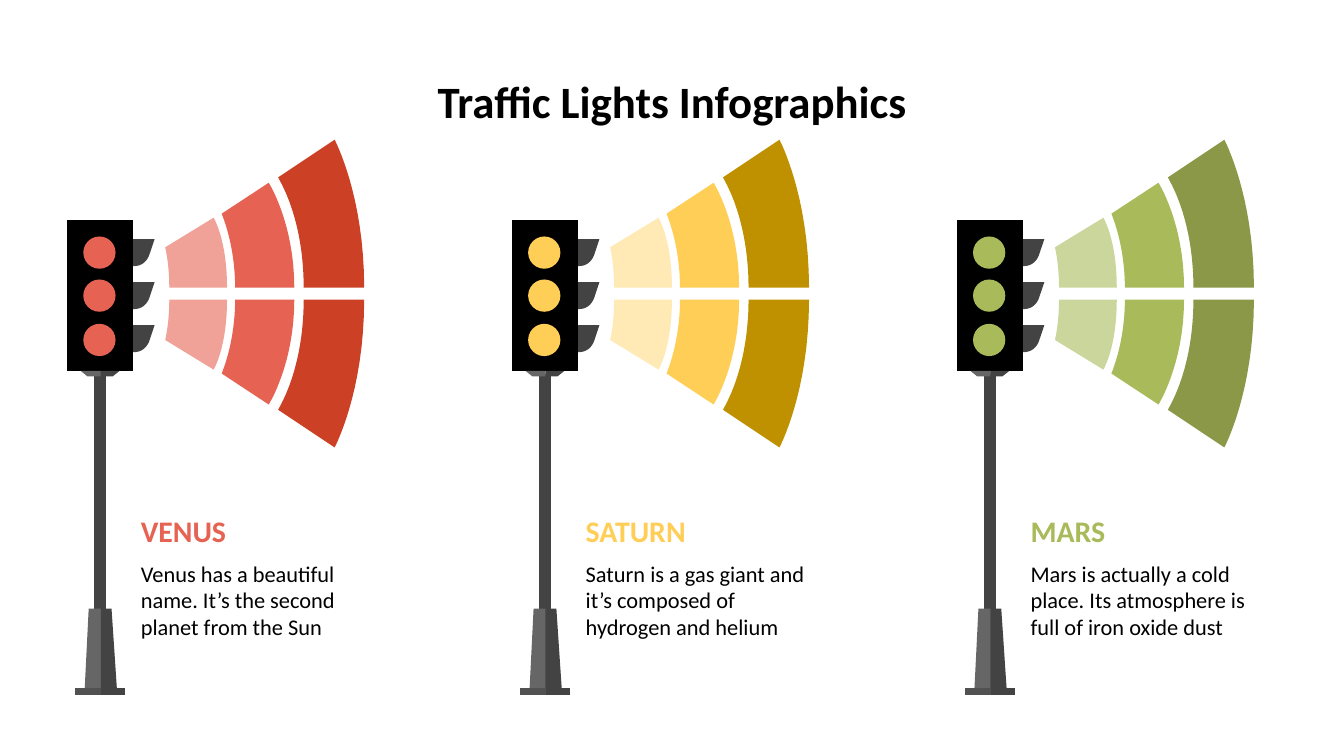
from pptx import Presentation
from pptx.dml.color import RGBColor
from pptx.enum.shapes import MSO_SHAPE
from pptx.enum.text import MSO_ANCHOR, MSO_AUTO_SIZE, PP_ALIGN
from pptx.util import Emu, Pt

OVAL = MSO_SHAPE.OVAL
TOP, MIDDLE = MSO_ANCHOR.TOP, MSO_ANCHOR.MIDDLE
LEFT, CENTER = PP_ALIGN.LEFT, PP_ALIGN.CENTER
NO_AUTOFIT = MSO_AUTO_SIZE.NONE

PX = 9144  # EMU in one px, 100 px to the inch
FONT = "Calibri"
BLACK, DARK, MEDIUM, LIGHT = "000000", "434343", "515151", "666666"

TITLE = "Traffic Lights Infographics"
# name, text, colours of the three waves from the lamp outwards
PLANETS = [
    ("VENUS", "Venus has a beautiful name. It’s the second planet from the Sun",
     ("F0A198", "E66353", "CC4125")),
    ("SATURN", "Saturn is a gas giant and it’s composed of hydrogen and helium",
     ("FFEAB5", "FFCE56", "BF9000")),
    ("MARS", "Mars is actually a cold place. Its atmosphere is full of iron oxide dust",
     ("CBD69C", "A9BA5A", "8A9847")),
]

# Outlines in the first column: a pair is a corner, six numbers are a Bézier curve.
WAVES = [
    [(169, 214), (126, 214), (126, 210, 126, 198, 123, 184),
     (159, 162), (159, 162, 169, 178, 169, 214)],
    [(219, 214), (175, 214), (175, 204, 174, 182, 165, 159),
     (200, 136), (200, 136, 219, 166, 219, 214)],
    [(271, 214), (226, 214), (226, 201, 225, 164, 207, 132),
     (249, 104), (249, 104, 271, 145, 271, 214)],
]
HOOD = [(97, 0), (97, 20), (100, 20), (105, 20, 109, 17, 111, 12), (115, 0)]
HOOD_TOPS = (178, 210, 242)
LAMP_TOPS = (176, 208, 241)
LAMP_LEFT, LAMP_SIZE = 62, 24
CASE = [(50, 164), (50, 276), (99, 276), (99, 164)]
POST = [
    (DARK, [(70, 278), (70, 515), (79, 515), (79, 278)]),
    (LIGHT, [(60, 276), (65, 280), (75, 280), (75, 276)]),
    (LIGHT, [(66, 453), (63, 513), (75, 513), (75, 453)]),
    (DARK, [(75, 276), (75, 280), (84, 280), (89, 276)]),
    (DARK, [(75, 453), (75, 513), (87, 513), (83, 453)]),
    (MEDIUM, [(56, 512), (56, 517), (75, 517), (75, 512)]),
    (DARK, [(75, 512), (75, 517), (93, 517), (93, 512)]),
]
COLUMN_PITCH = 331
MIRROR_SUM = 437  # a height and its mirrored height add up to this
CURVE_STEPS = 16


def px(value):
    return Emu(round(value * PX))


def color(value):
    return RGBColor.from_string(value)


def flatten(outline):
    """Turn corners and Bézier curves into a list of points."""
    points = []
    for part in outline:
        if len(part) == 2:
            points.append(part)
            continue
        controls = [points[-1], part[0:2], part[2:4], part[4:6]]
        for step in range(1, CURVE_STEPS + 1):
            t = step / CURVE_STEPS
            weights = ((1 - t) ** 3, 3 * t * (1 - t) ** 2, 3 * t * t * (1 - t), t ** 3)
            points.append(tuple(
                sum(weight * point[axis] for weight, point in zip(weights, controls))
                for axis in (0, 1)))
    return points


def paint(shape, fill):
    shape.shadow.inherit = False
    shape.fill.solid()
    shape.fill.fore_color.rgb = color(fill)
    shape.line.fill.background()


def draw_outline(group, points, fill, dx=0, dy=0):
    corners = [(px(x + dx), px(y + dy)) for x, y in points]
    builder = group.shapes.build_freeform(*corners[0], scale=1.0)
    builder.add_line_segments(corners[1:], close=True)
    paint(builder.convert_to_shape(), fill)


def draw_waves(slide, dx, fills):
    group = slide.shapes.add_group_shape()
    upper = [flatten(wave) for wave in WAVES]
    lower = [[(x, MIRROR_SUM - y) for x, y in points] for points in upper]
    for half in (upper, lower):
        for points, fill in zip(half, fills):
            draw_outline(group, points, fill, dx)


def draw_traffic_light(slide, dx, lamp_fill):
    group = slide.shapes.add_group_shape()
    for top in HOOD_TOPS:
        draw_outline(group, flatten(HOOD), DARK, dx, top)
    draw_outline(group, CASE, BLACK, dx)
    for top in LAMP_TOPS:
        lamp = group.shapes.add_shape(
            OVAL, px(LAMP_LEFT + dx), px(top), px(LAMP_SIZE), px(LAMP_SIZE))
        paint(lamp, lamp_fill)
    for fill, points in POST:
        draw_outline(group, points, fill, dx)


def write(box, text, size, fill=BLACK, bold=False, align=LEFT, anchor=MIDDLE):
    frame = box.text_frame
    frame.word_wrap = True
    frame.auto_size = NO_AUTOFIT
    frame.vertical_anchor = anchor
    frame.margin_left = frame.margin_right = px(10)
    frame.margin_top = frame.margin_bottom = px(10)
    para = frame.paragraphs[0]
    para.alignment = align
    span = para.add_run()
    span.text = text
    span.font.name = FONT
    span.font.size = Pt(size)
    span.font.bold = bold
    span.font.color.rgb = color(fill)


def main():
    deck = Presentation()
    deck.slide_width, deck.slide_height = px(1000), px(562.5)
    slide = deck.slides.add_slide(deck.slide_layouts[5])

    title = slide.shapes.title
    title.left, title.top, title.width, title.height = px(50), px(45), px(900), px(44)
    write(title, TITLE, 24, bold=True, align=CENTER, anchor=TOP)

    for column, (name, text, fills) in enumerate(PLANETS):
        dx = column * COLUMN_PITCH
        main_fill = fills[1]
        draw_waves(slide, dx, fills)
        heading = slide.shapes.add_textbox(px(95 + dx), px(380), px(193), px(30))
        write(heading, name, 16, fill=main_fill, bold=True)
        body = slide.shapes.add_textbox(px(95 + dx), px(410), px(193), px(73))
        write(body, text, 12)
        draw_traffic_light(slide, dx, main_fill)

    deck.save("out.pptx")


if __name__ == "__main__":
    main()
